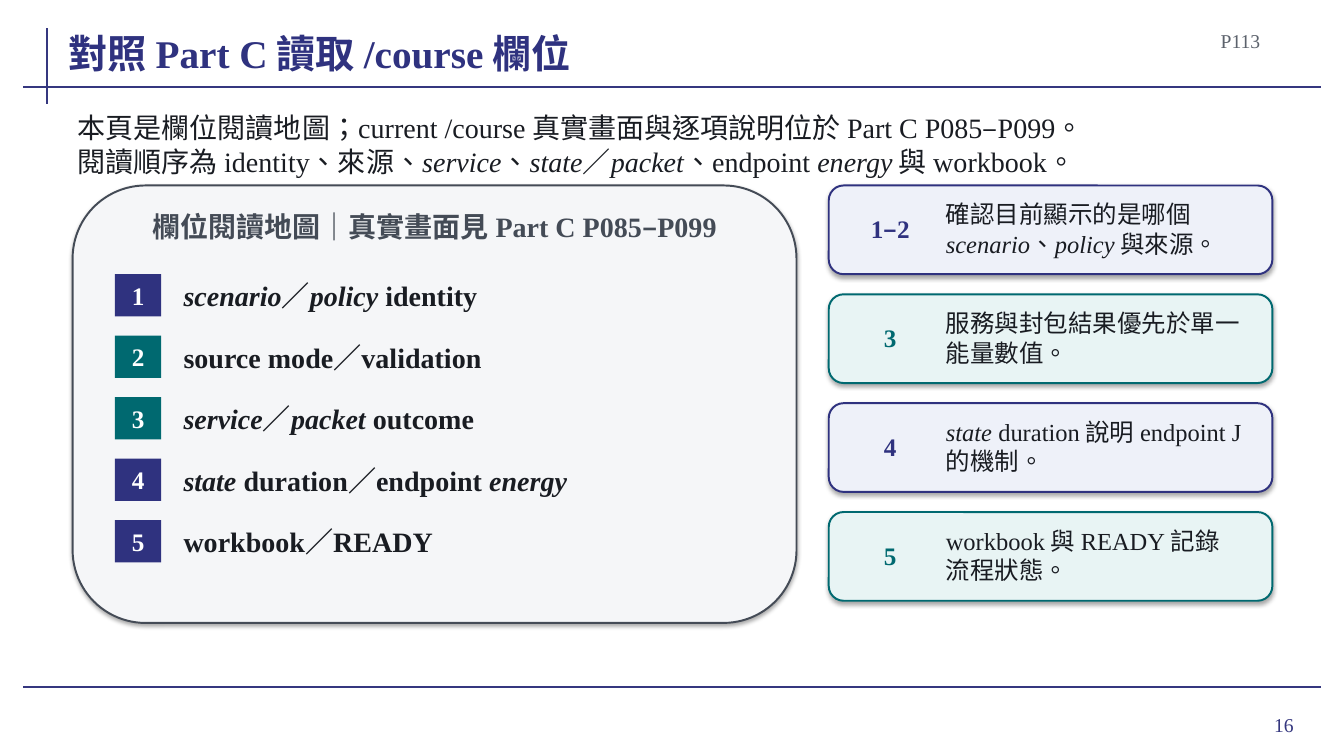
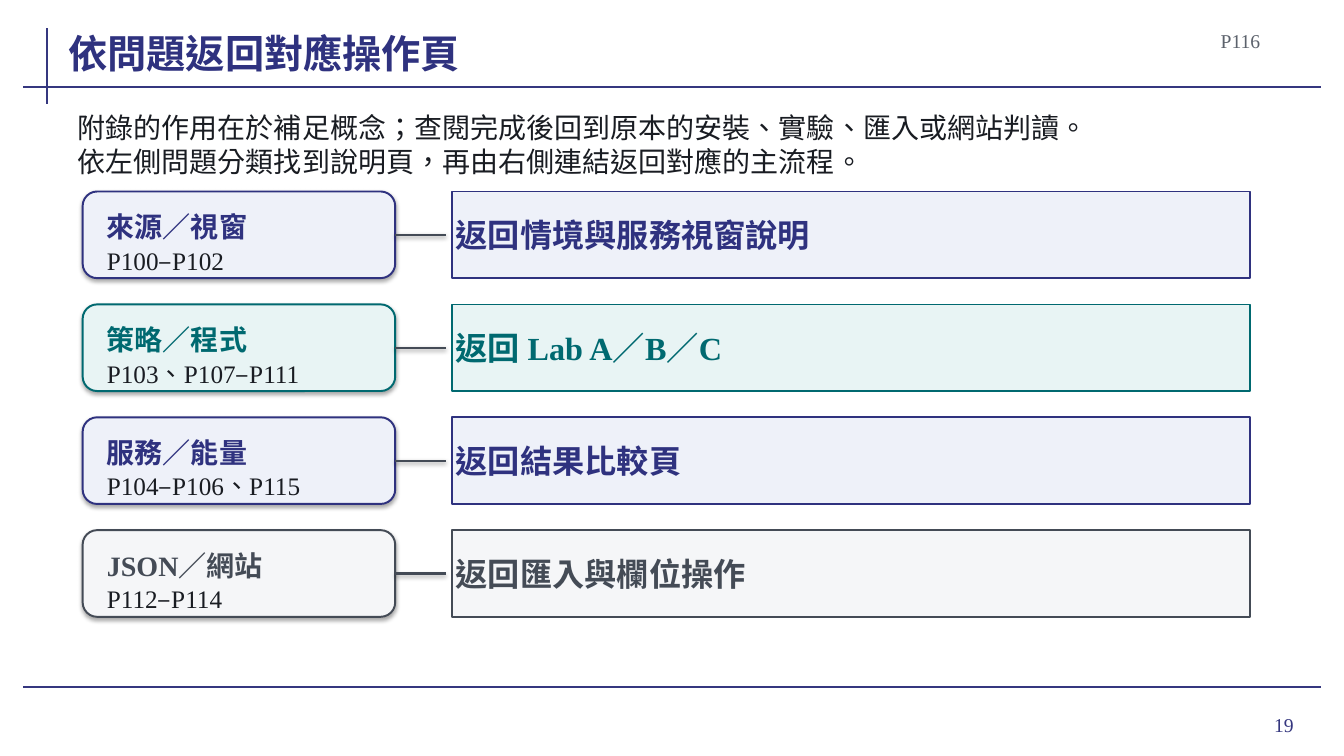
from itertools import groupby

from lxml.etree import SubElement
from pptx import Presentation
from pptx.dml.color import RGBColor
from pptx.enum.lang import MSO_LANGUAGE_ID as LANG
from pptx.enum.shapes import MSO_CONNECTOR as CONNECTOR, MSO_SHAPE as SHAPE
from pptx.enum.text import MSO_ANCHOR as ANCHOR, MSO_AUTO_SIZE as AUTO, PP_ALIGN as ALIGN
from pptx.oxml.ns import qn
from pptx.util import Emu, Pt

LATIN, CJK = "Times New Roman", "Noto Sans CJK SC"
COLORS = {
    "rule": "35377F", "navy": "2F327F", "teal": "006970", "slate": "444B56",
    "ink": "191C22", "code": "5C626C", "white": "FFFFFF",
    "navy_tint": "EEF1F9", "teal_tint": "E8F4F4", "slate_tint": "F5F6F8",
}
RULES = [(47, 28, 47, 103), (23, 86, 1310, 86), (23, 682, 1310, 682)]

FIELD_MAP = {
    "title": "對照 Part C 讀取 /course 欄位", "code": "P113", "page": "16",
    "intro": "本頁是欄位閱讀地圖；current /course 真實畫面與逐項說明位於 Part C P085–P099。\n"
             "閱讀順序為 identity、來源、*service*、*state*／*packet*、endpoint *energy* 與 workbook。",
    "heading": "欄位閱讀地圖｜真實畫面見 Part C P085–P099",
    "fields": [
        ("navy", "*scenario*／*policy *identity"),
        ("teal", "source mode／validation"),
        ("teal", "*service*／*packet *outcome"),
        ("navy", "*state *duration／endpoint *energy*"),
        ("navy", "workbook／READY"),
    ],
    "notes": [
        ("navy", "1–2", "確認目前顯示的是哪個 *scenario*、*policy* 與來源。"),
        ("teal", "3", "服務與封包結果優先於單一能量數值。"),
        ("navy", "4", "*state *duration 說明 endpoint J 的機制。"),
        ("teal", "5", "workbook 與 READY 記錄流程狀態。"),
    ],
}
RETURN_MAP = {
    "title": "依問題返回對應操作頁", "code": "P116", "page": "19",
    "intro": "附錄的作用在於補足概念；查閱完成後回到原本的安裝、實驗、匯入或網站判讀。\n"
             "依左側問題分類找到說明頁，再由右側連結返回對應的主流程。",
    "routes": [
        ("navy", "來源／視窗", "P100–P102", "返回情境與服務視窗說明"),
        ("teal", "策略／程式", "P103、P107–P111", "返回 Lab A／B／C"),
        ("navy", "服務／能量", "P104–P106、P115", "返回結果比較頁"),
        ("slate", "JSON／網站", "P112–P114", "返回匯入與欄位操作"),
    ],
}


def px(length):
    return Emu(length * 9144)


def rgb(name):
    return RGBColor.from_string(COLORS[name])


def split_runs(line):
    letters, italic = [], False
    for letter in line:
        if letter == "*":
            italic = not italic
        else:
            letters.append((letter, italic))
    plain = "".join(letter for letter, _ in letters)

    def run_style(index):
        nearby = plain[max(index - 1, 0):index + 2]
        latin = nearby.isascii() if plain[index] == " " else plain[index].isascii()
        return (LATIN if latin else CJK), letters[index][1]

    for style, group in groupby(range(len(plain)), run_style):
        yield "".join(plain[index] for index in group), *style


def write(shape, text, size=20, color="ink", bold=False, align=ALIGN.LEFT,
          anchor=ANCHOR.MIDDLE, inset=4, wrap=True, grow=True):
    frame = shape.text_frame
    frame.word_wrap = wrap
    frame.auto_size = AUTO.SHAPE_TO_FIT_TEXT if grow else AUTO.NONE
    frame.vertical_anchor = anchor
    frame.margin_left = frame.margin_right = px(inset)
    frame.margin_top = frame.margin_bottom = px(inset)
    paragraph = frame.paragraphs[0]
    paragraph.alignment = align
    for number, line in enumerate(text.split("\n")):
        if number:
            paragraph.add_line_break()
        for words, face, italic in split_runs(line):
            run = paragraph.add_run()
            run.text = words
            font = run.font
            font.size, font.bold, font.italic = Pt(size), bold, italic
            font.color.rgb = rgb(color)
            font.language_id = LANG.TRADITIONAL_CHINESE
            font.name = face
            SubElement(run._r.get_or_add_rPr(), qn("a:ea"), typeface=face)


def add_label(slide, box, text, **style):
    write(slide.shapes.add_textbox(*map(px, box)), text, **style)


def set_shadow(shape, opacity=0, distance=0):
    effects = SubElement(shape._element.spPr, qn("a:effectLst"))
    if opacity:
        shade = SubElement(effects, qn("a:outerShdw"), blurRad="39370", dir="5400000",
                           dist=str(Pt(distance)), algn="ctr", rotWithShape="0")
        tone = SubElement(shade, qn("a:srgbClr"), val="000000")
        SubElement(tone, qn("a:alpha"), val=str(opacity * 1000))


def add_block(slide, kind, box, fill, line=None, width=1.4, shadow=(0, 0)):
    block = slide.shapes.add_shape(kind, *map(px, box))
    block.fill.solid()
    block.fill.fore_color.rgb = rgb(fill)
    if line:
        block.line.color.rgb = rgb(line)
        block.line.width = Pt(width)
    else:
        block.line.fill.background()
    set_shadow(block, *shadow)
    return block


def add_card(slide, box, theme):
    return add_block(slide, SHAPE.ROUNDED_RECTANGLE, box, f"{theme}_tint", theme, shadow=(35, 1.8))


def add_rule(slide, ends, color, shadow=(0, 0)):
    rule = slide.shapes.add_connector(CONNECTOR.STRAIGHT, *map(px, ends))
    rule.line.color.rgb = rgb(color)
    rule.line.width = Pt(1.5)
    set_shadow(rule, *shadow)
    return rule


def start_slide(deck, content):
    slide = deck.slides.add_slide(deck.slide_layouts[6])
    for ends in RULES:
        add_rule(slide, ends, "rule")
    add_label(slide, (1196, 693, 97, 52), content["page"], size=14, color="rule",
              align=ALIGN.RIGHT, inset=10, grow=False)
    add_label(slide, (68, 18, 1090, 58), content["title"], size=28, color="navy", bold=True,
              anchor=ANCHOR.BOTTOM, inset=0, wrap=False, grow=False)
    add_label(slide, (1172, 27, 82, 26), content["code"], size=14, color="code", align=ALIGN.RIGHT)
    add_label(slide, (76, 112, 1178, 62), content["intro"], inset=1)
    return slide


def build_field_map(deck, content):
    slide = start_slide(deck, content)
    add_card(slide, (72, 184, 718, 434), "slate")
    add_label(slide, (98, 204, 666, 44), content["heading"], color="slate", bold=True,
              align=ALIGN.CENTER, anchor=ANCHOR.TOP)
    for index, (theme, field) in enumerate(content["fields"]):
        top = 272 + 61 * index
        badge = add_block(slide, SHAPE.RECTANGLE, (114, top, 46, 42), theme)
        write(badge, str(index + 1), size=18, color="white", bold=True, align=ALIGN.CENTER)
        add_label(slide, (178, top, 548, 42), field, bold=True)
    for index, (theme, numbers, note) in enumerate(content["notes"]):
        top = 184 + 108 * index
        add_card(slide, (822, top, 440, 88), theme)
        add_label(slide, (840, top + 10, 86, 66), numbers, size=18, color=theme, bold=True,
                  align=ALIGN.CENTER)
        add_label(slide, (934, top + 10, 302, 66), note, size=17.5)


def build_return_map(deck, content):
    slide = start_slide(deck, content)
    for index, (theme, topic, pages, target) in enumerate(content["routes"]):
        top = 190 + 112 * index
        card = add_card(slide, (82, top, 310, 86), theme)
        add_label(slide, (102, top + 16, 270, 38), topic, color=theme, bold=True)
        add_label(slide, (102, top + 64, 270, 8), pages, size=18)
        link = add_rule(slide, (392, top + 43, 442, top + 43), "slate", shadow=(38, 1.6))
        link.begin_connect(card, 3)
        destination = add_block(slide, SHAPE.RECTANGLE, (448, top, 792, 86),
                                f"{theme}_tint", theme, width=1.2)
        write(destination, target, size=23, color=theme, bold=True)


def main():
    deck = Presentation()
    deck.slide_width, deck.slide_height = px(1333), px(750)
    build_field_map(deck, FIELD_MAP)
    build_return_map(deck, RETURN_MAP)
    deck.save("out.pptx")


if __name__ == "__main__":
    main()
